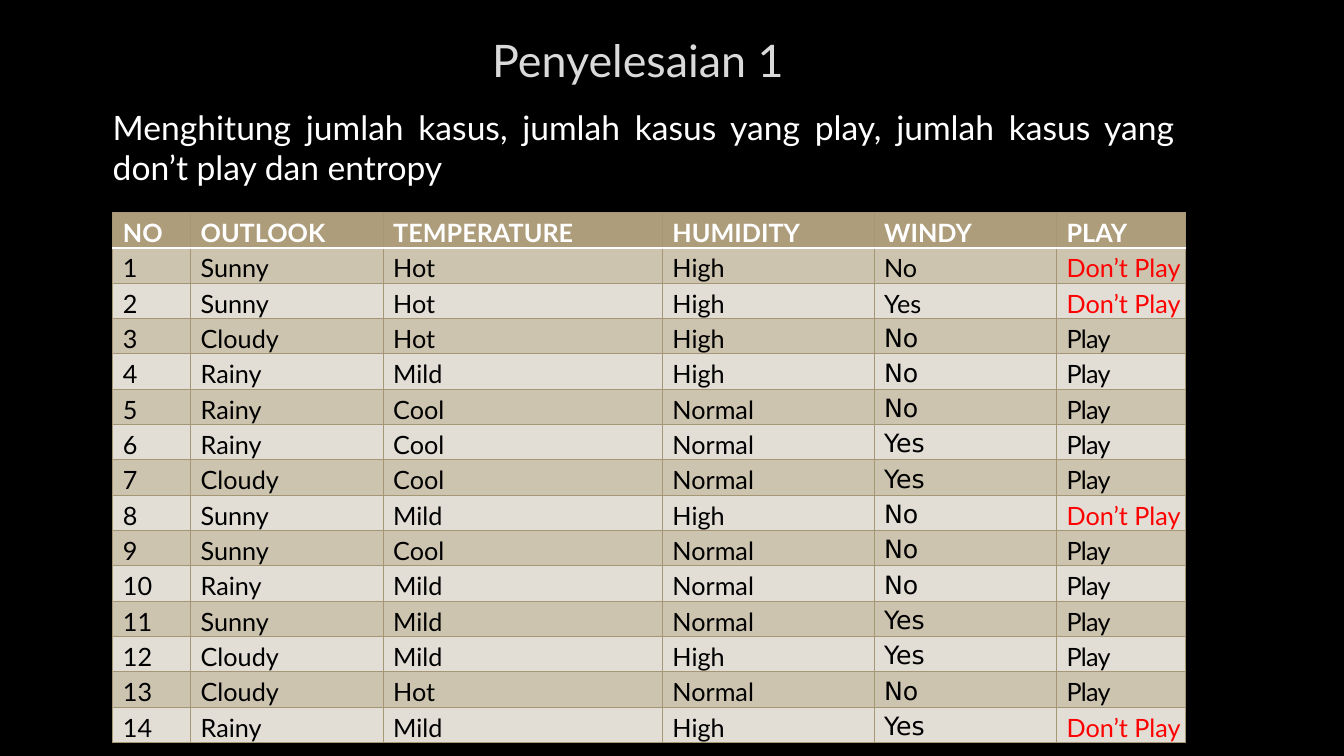
"""Builds the slide that lists the fourteen weather cases and their play decisions."""
from dataclasses import dataclass

from lxml import etree
from pptx import Presentation
from pptx.dml.color import RGBColor
from pptx.enum.text import MSO_ANCHOR, MSO_AUTO_SIZE, PP_ALIGN
from pptx.oxml.ns import qn
from pptx.util import Emu, Inches, Pt

CENTER, JUSTIFY, LEFT = PP_ALIGN.CENTER, PP_ALIGN.JUSTIFY, PP_ALIGN.LEFT
MIDDLE, TOP = MSO_ANCHOR.MIDDLE, MSO_ANCHOR.TOP
NO_FIT = MSO_AUTO_SIZE.NONE
TITLE_ONLY = 5
SLIDE_WIDTH, SLIDE_HEIGHT = Inches(13.33), Inches(7.5)


@dataclass(frozen=True)
class Theme:
    background: str = "000000"
    title: str = "DADADA"
    light: str = "FFFFFF"
    dark: str = "000000"
    warning: str = "FF0000"
    header: str = "AD9D7B"
    odd_row: str = "CDC4B0"
    even_row: str = "E2DED6"
    grid: str = "A59675"
    font: str = "Lato"
    windy_font: str = "DejaVu Sans"
    title_size: float = 32
    body_size: float = 24
    table_size: float = 18
    grid_width: float = 0.75
    header_rule_width: float = 1.25


@dataclass(frozen=True)
class Area:
    """A rectangle in percent of the slide's width and height."""
    left: float
    top: float
    width: float
    height: float

    def lengths(self) -> tuple[Emu, Emu, Emu, Emu]:
        return (across(self.left), down(self.top), across(self.width), down(self.height))


@dataclass(frozen=True)
class TextStyle:
    size: float
    color: str
    font: str
    bold: bool = False
    spacing: float = 0


@dataclass(frozen=True)
class Column:
    heading: str
    width: float


@dataclass(frozen=True)
class Case:
    outlook: str
    temperature: str
    humidity: str
    windy: str
    play: str


THEME = Theme()
TITLE_AREA = Area(8.4, 2.27, 78.15, 11.2)
TASK_AREA = Area(7.65, 13.47, 80.48, 12.13)
TABLE_AREA = Area(8.4, 28.13, 79.82, 69.87)
COLUMNS = [
    Column("NO", 5.78), Column("OUTLOOK", 14.33), Column("TEMPERATURE", 20.78),
    Column("HUMIDITY", 15.75), Column("WINDY", 13.58), Column("PLAY", 9.6),
]
WINDY_COLUMN = 4
FIRST_WINDY_FONT_ROW = 3
REFUSAL = "Don’t Play"
CASES = [
    Case("Sunny", "Hot", "High", "No", REFUSAL),
    Case("Sunny", "Hot", "High", "Yes", REFUSAL),
    Case("Cloudy", "Hot", "High", "No", "Play"),
    Case("Rainy", "Mild", "High", "No", "Play"),
    Case("Rainy", "Cool", "Normal", "No", "Play"),
    Case("Rainy", "Cool", "Normal", "Yes", "Play"),
    Case("Cloudy", "Cool", "Normal", "Yes", "Play"),
    Case("Sunny", "Mild", "High", "No", REFUSAL),
    Case("Sunny", "Cool", "Normal", "No", "Play"),
    Case("Rainy", "Mild", "Normal", "No", "Play"),
    Case("Sunny", "Mild", "Normal", "Yes", "Play"),
    Case("Cloudy", "Mild", "High", "Yes", "Play"),
    Case("Cloudy", "Hot", "Normal", "No", "Play"),
    Case("Rainy", "Mild", "High", "Yes", REFUSAL),
]


def across(percent: float) -> Emu:
    return Emu(round(SLIDE_WIDTH * percent / 100))


def down(percent: float) -> Emu:
    return Emu(round(SLIDE_HEIGHT * percent / 100))


def add_text(text_frame, text: str, style: TextStyle, alignment: PP_ALIGN) -> None:
    paragraph = text_frame.paragraphs[0]
    paragraph.alignment = alignment
    run = paragraph.add_run()
    run.text = text
    run.font.size = Pt(style.size)
    run.font.name = style.font
    run.font.bold = style.bold
    run.font.color.rgb = RGBColor.from_string(style.color)
    if style.spacing:
        run._r.get_or_add_rPr().set("spc", str(round(style.spacing * 100)))


def add_border(cell, side: str, color: str, width: float) -> None:
    properties = cell._tc.get_or_add_tcPr()
    line = etree.SubElement(properties, qn(f"a:ln{side}"), w=str(Pt(width)))
    fill = etree.SubElement(line, qn("a:solidFill"))
    etree.SubElement(fill, qn("a:srgbClr"), val=color)


def cell_style(row: int, column: int, text: str) -> TextStyle:
    if row == 0:
        return TextStyle(THEME.table_size, THEME.light, THEME.font, bold=True)
    color = THEME.warning if text == REFUSAL else THEME.dark
    windy = column == WINDY_COLUMN and row >= FIRST_WINDY_FONT_ROW
    font = THEME.windy_font if windy else THEME.font
    return TextStyle(THEME.table_size, color, font, spacing=-0.5 if text == "Play" else 0)


def format_cell(cell, row: int, column: int, text: str) -> None:
    cell.margin_left, cell.margin_top = Inches(0.1), Inches(0.05)
    cell.margin_right = cell.margin_bottom = 0
    cell.vertical_anchor = TOP
    for side in "LRTB":
        under_header = (row, side) in ((0, "B"), (1, "T"))
        color = THEME.light if under_header else THEME.grid
        width = THEME.header_rule_width if under_header else THEME.grid_width
        add_border(cell, side, color, width)
    band = THEME.odd_row if row % 2 else THEME.even_row
    cell.fill.solid()
    cell.fill.fore_color.rgb = RGBColor.from_string(band if row else THEME.header)
    add_text(cell.text_frame, text, cell_style(row, column, text), LEFT)


def add_case_table(slide) -> None:
    rows = [[column.heading for column in COLUMNS]]
    for number, case in enumerate(CASES, 1):
        rows.append([str(number), case.outlook, case.temperature, case.humidity,
                     case.windy, case.play])
    table = slide.shapes.add_table(len(rows), len(COLUMNS), *TABLE_AREA.lengths()).table
    table.horz_banding = False
    for table_column, column in zip(table.columns, COLUMNS):
        table_column.width = across(column.width)
    for row, texts in enumerate(rows):
        table.rows[row].height = down(TABLE_AREA.height / len(rows))
        for column, text in enumerate(texts):
            format_cell(table.cell(row, column), row, column, text)


def add_title(slide) -> None:
    title = slide.shapes.title
    title.left, title.top, title.width, title.height = TITLE_AREA.lengths()
    title.text_frame.auto_size = NO_FIT
    title.text_frame.vertical_anchor = MIDDLE
    style = TextStyle(THEME.title_size, THEME.title, THEME.font)
    add_text(title.text_frame, "Penyelesaian 1", style, CENTER)


def add_task(slide) -> None:
    task = slide.shapes.add_textbox(*TASK_AREA.lengths())
    task.text_frame.word_wrap = True
    style = TextStyle(THEME.body_size, THEME.light, THEME.font)
    add_text(task.text_frame, "Menghitung jumlah kasus, jumlah kasus yang play, "
             "jumlah kasus yang don’t play dan entropy", style, JUSTIFY)


def main() -> None:
    presentation = Presentation()
    presentation.slide_width, presentation.slide_height = SLIDE_WIDTH, SLIDE_HEIGHT
    slide = presentation.slides.add_slide(presentation.slide_layouts[TITLE_ONLY])
    slide.background.fill.solid()
    slide.background.fill.fore_color.rgb = RGBColor.from_string(THEME.background)
    add_title(slide)
    add_task(slide)
    add_case_table(slide)
    presentation.save("out.pptx")


if __name__ == "__main__":
    main()
